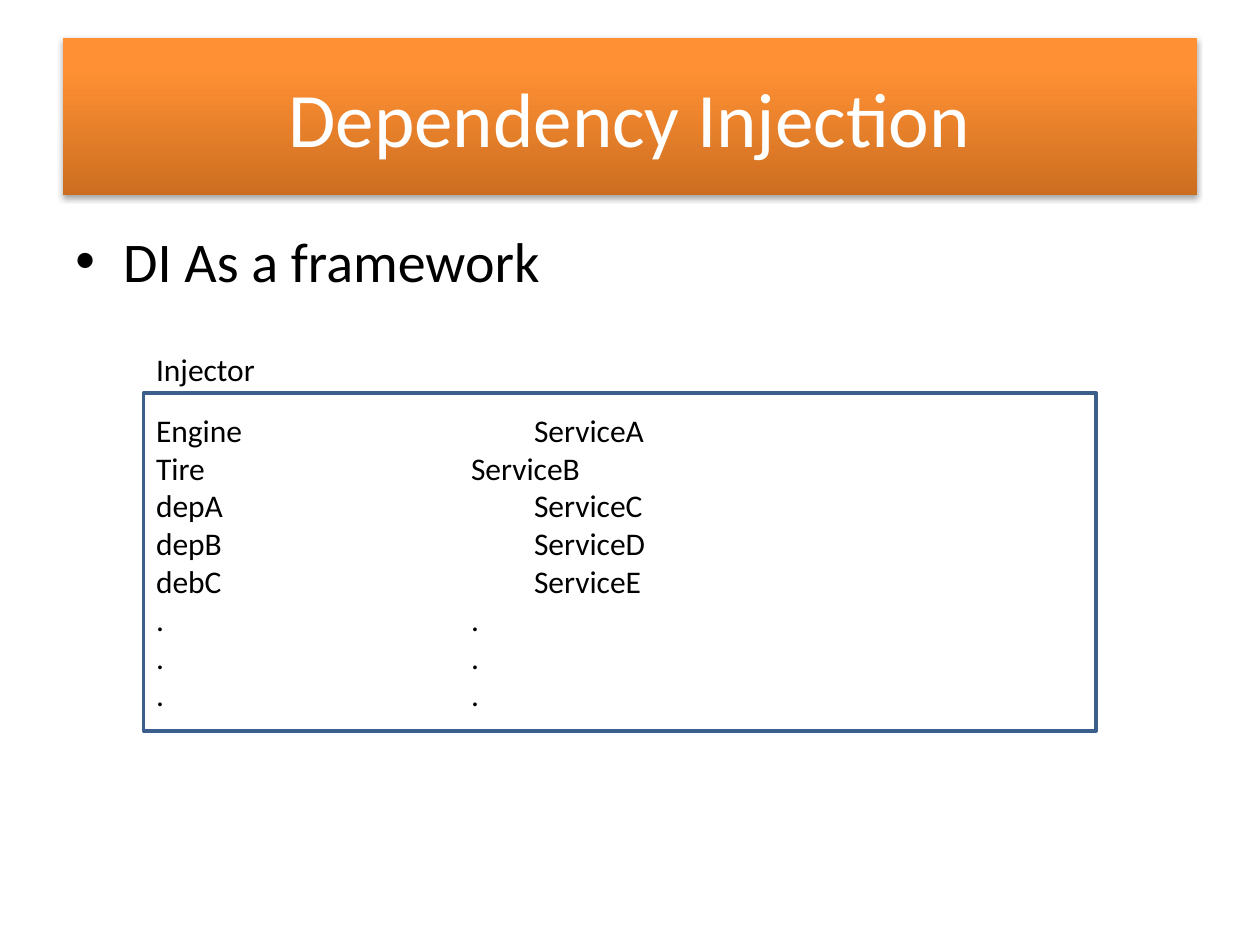
from copy import deepcopy
from dataclasses import dataclass
from typing import Optional

from lxml.etree import SubElement
from pptx import Presentation
from pptx.dml.color import RGBColor
from pptx.enum.shapes import MSO_SHAPE
from pptx.enum.text import MSO_ANCHOR, PP_ALIGN
from pptx.oxml.ns import qn
from pptx.util import Inches, Pt


@dataclass(frozen=True)
class Theme:
    font: str = "Calibri"
    title_size: float = 44
    bullet_size: float = 32
    body_size: float = 18
    text: str = "000000"
    title_text: str = "FFFFFF"
    border: str = "3A5F8C"
    shadow: str = "000000"
    banner: tuple = ((0, "CC6E20"), (0.8, "FF9034"), (1, "FF9136"))


@dataclass(frozen=True)
class Box:
    left: float
    top: float
    width: float
    height: float

    def emu(self) -> tuple:
        return tuple(Inches(v) for v in (self.left, self.top, self.width, self.height))


@dataclass(frozen=True)
class Entry:
    token: str
    service: str

    def line(self) -> str:
        return self.token + "\t" * 5 + self.service


THEME = Theme()
ENTRIES = [
    Entry("Engine", "ServiceA"),
    Entry("Tire", "ServiceB"),
    Entry("depA", "ServiceC"),
    Entry("depB", "ServiceD"),
    Entry("debC", "ServiceE"),
] + [Entry(".", ".")] * 3


def write(sp, text: str, *, size: float = THEME.body_size, color: str = THEME.text,
          align: PP_ALIGN = PP_ALIGN.LEFT, anchor: MSO_ANCHOR = MSO_ANCHOR.TOP,
          bullet: Optional[str] = None) -> None:
    tf = sp.text_frame
    tf.word_wrap = True
    tf.vertical_anchor = anchor
    for i, line in enumerate(text.split("\n")):
        p = tf.paragraphs[0] if i == 0 else tf.add_paragraph()
        p.alignment = align
        r = p.add_run()
        r.text = line
        r.font.name = THEME.font
        r.font.size = Pt(size)
        r.font.color.rgb = RGBColor.from_string(color)
        if bullet:
            p.space_before = Pt(size * 0.2)
            pPr = p._p.get_or_add_pPr()
            pPr.set("marL", str(Inches(0.38)))
            pPr.set("indent", str(Inches(-0.38)))
            SubElement(pPr, qn("a:buFont"), typeface="Arial")
            SubElement(pPr, qn("a:buChar"), char=bullet)


def add_rect(s, box: Box):
    sp = s.shapes.add_shape(MSO_SHAPE.RECTANGLE, *box.emu())
    sp.shadow.inherit = False
    return sp


def add_text(s, box: Box, text: str, **fmt) -> None:
    write(s.shapes.add_textbox(*box.emu()), text, **fmt)


def add_banner(s, box: Box, text: str) -> None:
    sp = add_rect(s, box)
    sp.line.fill.background()
    sp.fill.gradient()
    sp.fill.gradient_angle = 90
    spPr = sp._element.spPr
    stops = spPr.find(qn("a:gradFill")).find(qn("a:gsLst"))
    stops.append(deepcopy(stops[-1]))
    for stop, (position, color) in zip(sp.fill.gradient_stops, THEME.banner):
        stop.position = position
        stop.color.rgb = RGBColor.from_string(color)
    shadow = SubElement(spPr.find(qn("a:effectLst")), qn("a:outerShdw"),
                        blurRad=str(Pt(3.1)), dist=str(Pt(1.8)),
                        dir="5400000", rotWithShape="0")
    color = SubElement(shadow, qn("a:srgbClr"), val=THEME.shadow)
    SubElement(color, qn("a:alpha"), val="35000")
    write(sp, text, size=THEME.title_size, color=THEME.title_text,
          align=PP_ALIGN.CENTER, anchor=MSO_ANCHOR.MIDDLE)


def add_registry(s, box: Box, entries: list[Entry]) -> None:
    sp = add_rect(s, box)
    sp.fill.background()
    sp.line.color.rgb = RGBColor.from_string(THEME.border)
    sp.line.width = Pt(2)
    write(sp, "\n".join(e.line() for e in entries), anchor=MSO_ANCHOR.MIDDLE)


def main() -> None:
    prs = Presentation()
    prs.slide_width, prs.slide_height = Inches(10), Inches(7.5)
    s = prs.slides.add_slide(prs.slide_layouts[6])
    add_banner(s, Box(0.5, 0.3, 9, 1.25), "Dependency Injection")
    add_text(s, Box(0.5, 1.75, 9, 0.66), "DI As a framework",
             size=THEME.bullet_size, bullet="•")
    add_registry(s, Box(1.14, 3.12, 7.56, 2.68), ENTRIES)
    add_text(s, Box(1.14, 2.73, 2.05, 0.4), "Injector")
    prs.save("out.pptx")


if __name__ == "__main__":
    main()
